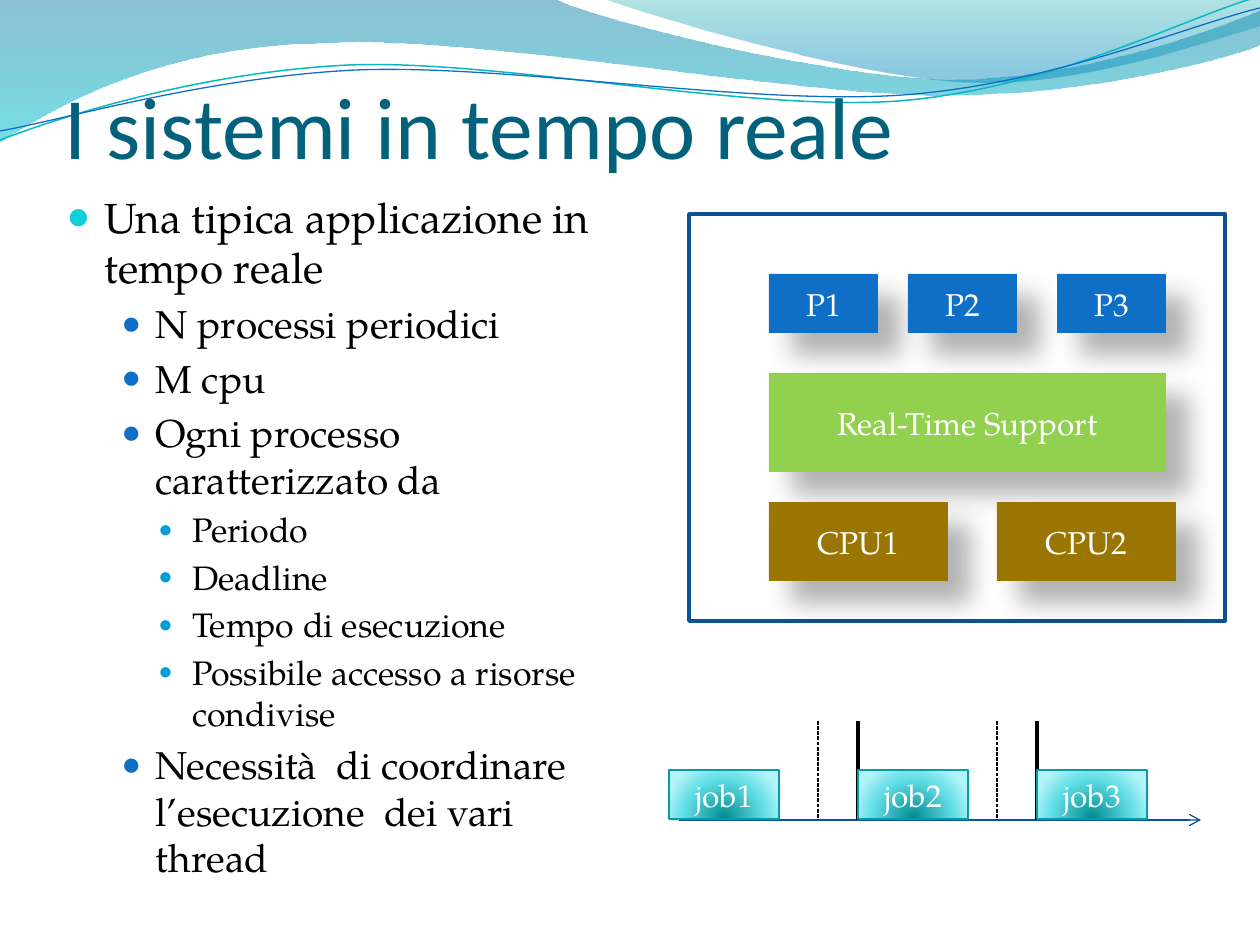
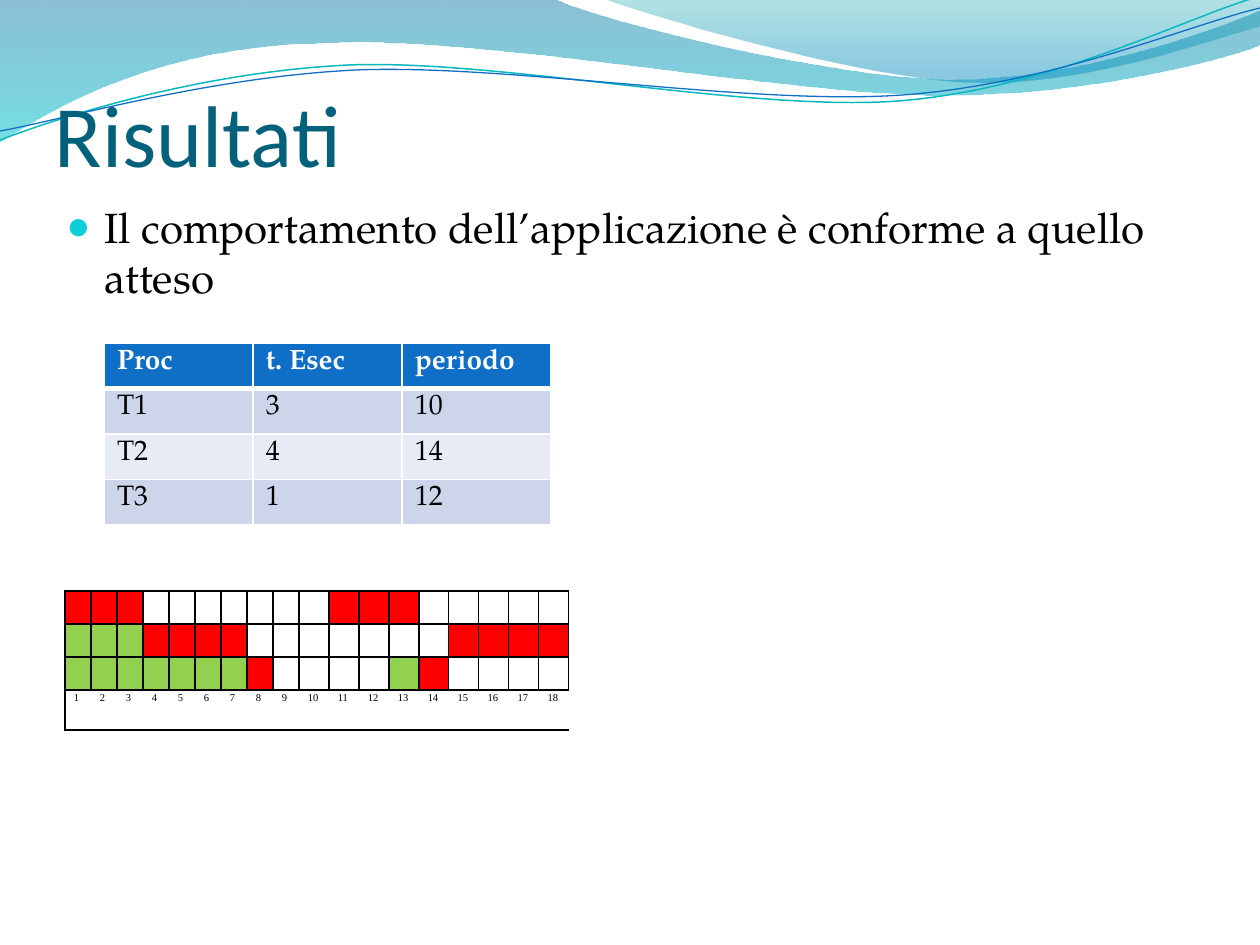
"""Builds two slides on real-time systems: the task model and the scheduling results."""
from pptx import Presentation
from pptx.dml.color import RGBColor
from pptx.enum.dml import MSO_LINE
from pptx.enum.shapes import MSO_CONNECTOR, MSO_SHAPE
from pptx.enum.text import MSO_ANCHOR, PP_ALIGN
from pptx.oxml import parse_xml
from pptx.oxml.ns import nsdecls, qn
from pptx.util import Pt

PX = 914400 / 126
COLORS = {
    "title": "04617B", "text": "000000", "white": "FFFFFF", "blue": "0F6FC6",
    "cyan": "0BD0D9", "sky": "009DD9", "green": "92D050", "brown": "9A7500",
    "red": "FF0000", "frame": "0B5292", "axis": "095295", "job_edge": "069CA3",
    "wave": "0AB8BF", "odd": "CCD5EA", "even": "E7EBF5",
}
RGB = {name: RGBColor.from_string(value) for name, value in COLORS.items()}
SERIF = "TeX Gyre Pagella"
BODY_LEVELS = [
    {"size": 24.1, "left": 38, "hang": 38, "bullet": "cyan", "percent": 95},
    {"size": 22.2, "left": 89, "hang": 34, "bullet": "blue", "percent": 85},
    {"size": 19.4, "left": 126, "hang": 34, "bullet": "sky", "percent": 70},
]
BANDS = [
    ((0, 0), [[(554, -1)], [(600, 21), (837, 79), (955, 79)],
              [(1075, 79), (1207, 33), (1260, 11)], [(1261, 45)],
              [(1238, 55), (1096, 96), (940, 95)], [(784, 95), (481, 35), (324, 43)],
              [(163, 45), (58, 105), (-1, 142)]],
     [(0, "0074A1", 45), (100, "00C6CF", 55)], None),
    ((604, -1), [[(641, 14), (859, 78), (969, 82)], [(1079, 87), (1211, 40), (1260, 26)],
                 [(1260, 0)]],
     [(0, "00A1A9", 30), (80, "008BBF", 45)], None),
    ((0, 140), [[(60, 117), (199, 72), (349, 65)], [(498, 59), (747, 112), (898, 101)],
                [(1050, 89), (1182, 19), (1257, -3)]], None, ("wave", 0.85)),
    ((0, 131), [[(59, 121), (207, 77), (357, 70)], [(508, 64), (752, 106), (903, 95)],
                [(1053, 84), (1186, 26), (1260, 8)]], None, ("blue", 0.75)),
]
LINEAR = '<a:lin ang="5400000" scaled="0"/>'
RADIAL = ('<a:path path="circle"><a:fillToRect l="50000" t="130000" r="50000" '
          'b="-30000"/></a:path>')
JOB_STOPS = [(0, "008A91", 100), (68, "64DFE7", 100), (100, "B1F3F9", 100)]
GRADIENT = '<a:gradFill rotWithShape="1"><a:gsLst>{}</a:gsLst>{}</a:gradFill>'
STOP = '<a:gs pos="{}000"><a:srgbClr val="{}"><a:alpha val="{}000"/></a:srgbClr></a:gs>'
SHADOW = (f'<a:outerShdw blurRad="{Pt(15)}" dist="{Pt(18)}" dir="2700000" algn="tl" '
          'rotWithShape="0"><a:srgbClr val="000000"><a:alpha val="30000"/></a:srgbClr>'
          '</a:outerShdw>')
BORDER = '<a:{0} w="{1}"><a:solidFill><a:srgbClr val="{2}"/></a:solidFill></a:{0}>'
PLAIN_TABLE = "{2D5ABB26-0587-4C30-8999-92F81FD0307C}"


def add_xml(parent, markup, index=None):
    element = parse_xml(f"<a:wrap {nsdecls('a')}>{markup}</a:wrap>")[0]
    parent.insert(len(parent) if index is None else index, element)
    return element


def write(para, text, color, **formats):
    span = para.add_run()
    span.text = text
    span.font.color.rgb = RGB[color]
    for name, value in formats.items():
        setattr(span.font, name, value)


deck = Presentation()
deck.slide_width, deck.slide_height = round(1260 * PX), round(945 * PX)
model, results = [deck.slides.add_slide(deck.slide_layouts[6]) for _ in range(2)]

for order, (start, steps, stops, stroke) in enumerate(BANDS):
    points = [(x * PX, y * PX) for x, y in [start, *sum(steps, [])]]
    builder = model.shapes.build_freeform(*points[0])
    builder.add_line_segments(points[1:], close=stops is not None)
    band = builder.convert_to_shape()
    outline = band._element.find(".//" + qn("a:path"))
    corners = iter(outline.findall(qn("a:lnTo")))
    for step in steps:
        pieces = [next(corners) for _ in step]
        if len(pieces) == 3:
            curve = add_xml(outline, "<a:cubicBezTo/>", outline.index(pieces[0]))
            for piece in pieces:
                curve.append(piece[0])
                outline.remove(piece)
    band.shadow.inherit = False
    if stops:
        marks = "".join(STOP.format(*stop) for stop in stops)
        add_xml(band._element.spPr, GRADIENT.format(marks, LINEAR), 2)
        band.line.fill.background()
    else:
        band.fill.background()
        band.line.color.rgb, band.line.width = RGB[stroke[0]], Pt(stroke[1])
    deck.slide_master.shapes._spTree.insert(2 + order, band._element)

border = model.shapes.add_shape(MSO_SHAPE.RECTANGLE, *(round(v * PX) for v in (689, 214, 536, 407)))
border.shadow.inherit = False
border.fill.background()
border.line.color.rgb, border.line.width = RGB["frame"], Pt(2)

CONTENT = [
    (model, "I sistemi in tempo reale", (65, 56, 1134, 121), (54, 185, 577, 667), [
        (0, "Una tipica applicazione in tempo reale"),
        (1, "N processi periodici"),
        (1, "M cpu"),
        (1, "Ogni processo caratterizzato da"),
        (2, "Periodo"),
        (2, "Deadline"),
        (2, "Tempo di esecuzione"),
        (2, "Possibile accesso a risorse condivise"),
        (1, "Necessità  di coordinare l’esecuzione  dei vari thread"),
    ]),
    (results, "Risultati", (55, 65, 1134, 120), (54, 195, 1123, 97), [
        (0, "Il comportamento dell’applicazione è conforme a quello atteso"),
    ]),
]
for page, title, title_place, body_place, items in CONTENT:
    box = page.shapes.add_textbox(*(round(v * PX) for v in title_place))
    frame = box.text_frame
    settings = {"word_wrap": True, "vertical_anchor": MSO_ANCHOR.BOTTOM, "margin_left": 0,
                "margin_right": 0, "margin_top": round(6 * PX), "margin_bottom": 0}
    for name, value in settings.items():
        setattr(frame, name, value)
    write(frame.paragraphs[0], title, "title", name="Calibri", size=Pt(50))

    box = page.shapes.add_textbox(*(round(v * PX) for v in body_place))
    frame = box.text_frame
    frame.word_wrap = True
    for index, (depth, text) in enumerate(items):
        para = frame.add_paragraph() if index else frame.paragraphs[0]
        level = BODY_LEVELS[depth]
        para.level = depth
        para.space_before = Pt(level["size"] * 0.2)
        properties = para._p.get_or_add_pPr()
        properties.set("marL", str(round(level["left"] * PX)))
        properties.set("indent", str(round(-level["hang"] * PX)))
        add_xml(properties, f'<a:buClr><a:srgbClr val="{COLORS[level["bullet"]]}"/></a:buClr>')
        add_xml(properties, f'<a:buSzPct val="{level["percent"]}000"/>')
        add_xml(properties, '<a:buFont typeface="Times New Roman"/>')
        add_xml(properties, '<a:buChar char="●"/>')
        write(para, text, "text", name=SERIF, size=Pt(level["size"]))

JOBS = [("job1", 669), ("job2", 858), ("job3", 1037)]
LINES = [((679, 820, 1201, 820), "axis", 0.75, None)]
for job, left in JOBS[1:]:
    LINES.append(((left, 721, left, 820), "text", 2, None))
    LINES.append(((left - 40, 721, left - 40, 820), "text", 0.75, MSO_LINE.SQUARE_DOT))
for ends, color, width, dash in LINES:
    line = model.shapes.add_connector(MSO_CONNECTOR.STRAIGHT, *(round(v * PX) for v in ends))
    line.line.color.rgb, line.line.width = RGB[color], Pt(width)
    if dash:
        line.line.dash_style = dash
    if color == "axis":
        add_xml(line._element.spPr.find(qn("a:ln")), '<a:tailEnd type="arrow"/>')
    add_xml(line._element.spPr, "<a:effectLst/>")

BLOCKS = [(f"P{number}", (left, 274, 109, 59), "blue")
          for number, left in enumerate((769, 908, 1057), 1)]
BLOCKS.append(("Real-Time Support", (769, 373, 397, 99), "green"))
BLOCKS += [(f"CPU{number}", (left, 502, 179, 79), "brown")
           for number, left in enumerate((769, 997), 1)]
BLOCKS += [(job, (left, 770, 110, 49), None) for job, left in JOBS]
for text, place, color in BLOCKS:
    block = model.shapes.add_shape(MSO_SHAPE.RECTANGLE, *(round(v * PX) for v in place))
    block.shadow.inherit = False
    if color:
        block.fill.solid()
        block.fill.fore_color.rgb = RGB[color]
        block.line.fill.background()
        add_xml(block._element.spPr.find(qn("a:effectLst")), SHADOW)
    else:
        marks = "".join(STOP.format(*stop) for stop in JOB_STOPS)
        add_xml(block._element.spPr, GRADIENT.format(marks, RADIAL), 2)
        block.line.color.rgb, block.line.width = RGB["job_edge"], Pt(0.75)
    block.text_frame.vertical_anchor = MSO_ANCHOR.MIDDLE
    para = block.text_frame.paragraphs[0]
    para.alignment = PP_ALIGN.CENTER
    write(para, text, "white", name=SERIF, size=Pt(18))

SCHEDULE = ["RRR.......RRR.....", "GGGRRRRW....WWRRRR", "GGGGGGGRWW..GRWWWW"]
SLOT_FILLS = {"R": "red", "G": "green", "W": "white", ".": None}
slots = [[("", SLOT_FILLS[mark]) for mark in row] for row in SCHEDULE]
slots.append([(str(number), None) for number in range(1, 19)])
TASKS = [("Proc", "t. Esec", "periodo"), ("T1", "3", "10"), ("T2", "4", "14"), ("T3", "1", "12")]
tasks = [[(text, fill) for text in row]
         for row, fill in zip(TASKS, ("blue", "odd", "even", "odd"))]
TABLES = [
    (slots, 65, 591, [26] * 9 + [30] * 9, [33, 33, 33, 40], "text", (9, 0), "Times New Roman", 6),
    (tasks, 104, 343, [149] * 3, [44, 45, 45, 44], "white", (13, 6), SERIF, 16),
]
for rows, left, top, widths, heights, edge, margins, font, size in TABLES:
    place = (left, top, sum(widths), sum(heights))
    table = results.shapes.add_table(len(rows), len(widths), *(round(v * PX) for v in place)).table
    table.first_row = table.horz_banding = False
    table._tbl.tblPr.find(qn("a:tableStyleId")).text = PLAIN_TABLE
    for column, width in zip(table.columns, widths):
        column.width = round(width * PX)
    for row, height in zip(table.rows, heights):
        row.height = round(height * PX)
    for r, values in enumerate(rows):
        header = rows is tasks and r == 0
        for c, (text, fill) in enumerate(values):
            cell = table.cell(r, c)
            if fill:
                cell.fill.solid()
                cell.fill.fore_color.rgb = RGB[fill]
            cell.margin_left = cell.margin_right = round(margins[0] * PX)
            cell.margin_top = cell.margin_bottom = round(margins[1] * PX)
            para = cell.text_frame.paragraphs[0]
            if text:
                write(para, text, "white" if header else "text", name=font, size=Pt(size), bold=header)
            else:
                add_xml(para._p, f'<a:endParaRPr sz="{size * 100}"/>')
            if rows is slots and text:
                para.line_spacing = 1.15
                sides = ["lnL", "lnT", "lnB"] if c == 0 else ["lnT", "lnB"]
            else:
                sides = ["lnL", "lnR", "lnT", "lnB"]
            for index, side in enumerate(sides):
                thickness = 3 if header and side == "lnB" else 1
                add_xml(cell._tc.get_or_add_tcPr(),
                        BORDER.format(side, Pt(thickness), COLORS[edge]), index)

deck.save("out.pptx")
